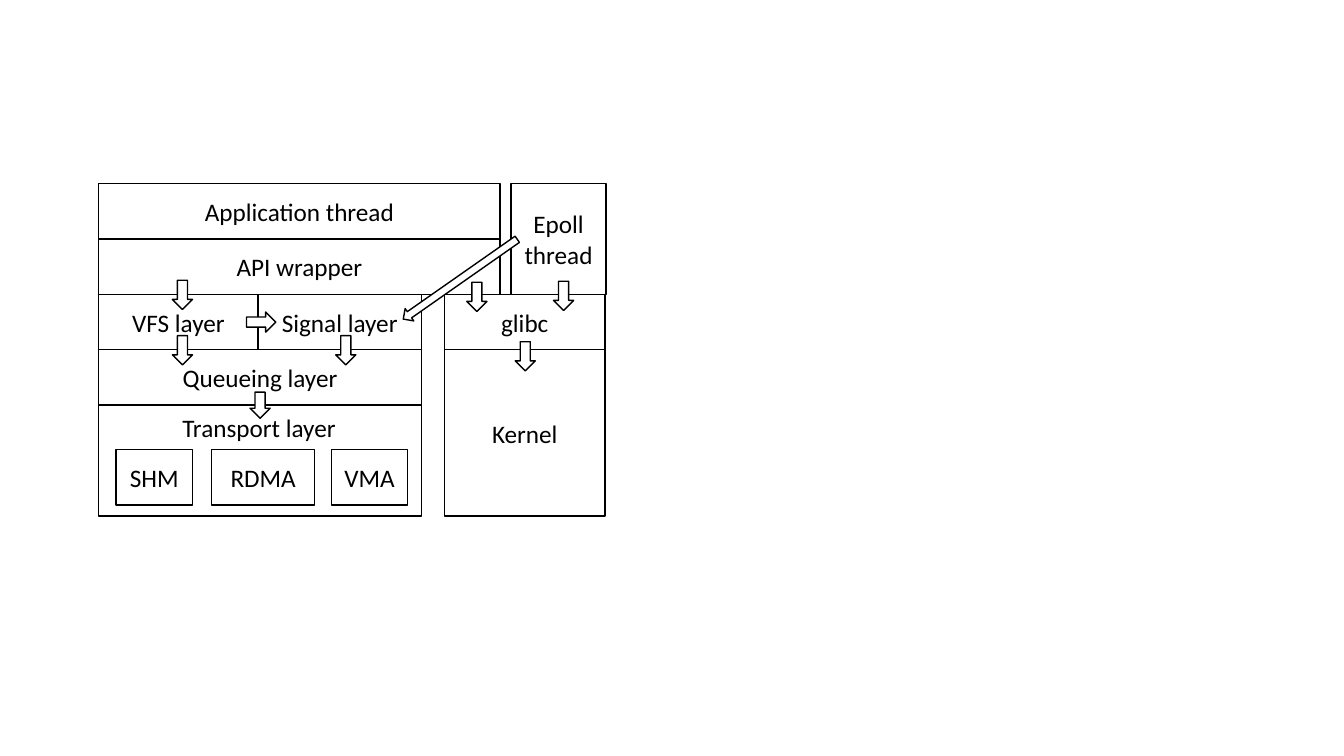
from dataclasses import dataclass

from pptx import Presentation
from pptx.dml.color import RGBColor
from pptx.enum.shapes import MSO_SHAPE
from pptx.enum.text import MSO_ANCHOR, MSO_AUTO_SIZE, PP_ALIGN
from pptx.shapes.autoshape import Shape
from pptx.slide import Slide
from pptx.text.text import TextFrame
from pptx.util import Inches, Pt

RECTANGLE = MSO_SHAPE.RECTANGLE
DOWN_ARROW = MSO_SHAPE.DOWN_ARROW
MIDDLE = MSO_ANCHOR.MIDDLE
CENTER = PP_ALIGN.CENTER
FIT_SHAPE = MSO_AUTO_SIZE.SHAPE_TO_FIT_TEXT

COLORS = {"ink": "000000", "paper": "FFFFFF"}
FONT_NAME = "Calibri"
FONT_SIZE = Pt(18)

# Stack geometry in inches: every layer is a whole number of rows high
STACK_TOP, ROW_HEIGHT = 1.82, 0.55
LEFT_COLUMN, RIGHT_COLUMN = 0.98, 4.41
LEFT_WIDTH, RIGHT_WIDTH = 3.2, 1.59
THREAD_WIDTH = 3.98
VFS_WIDTH = 1.58
TRANSPORT_TOP = 4.46


@dataclass
class Box:
    text: str
    left: float
    top: float
    width: float
    height: float = ROW_HEIGHT


@dataclass
class Arrow:
    left: float
    top: float
    width: float = 0.2
    height: float = 0.29
    rotation: float = 0


def layer(text: str, row: int, left: float, width: float, rows: int = 1) -> Box:
    return Box(text, left, STACK_TOP + row * ROW_HEIGHT, width, rows * ROW_HEIGHT)


LAYERS = [
    layer("Application thread", 0, LEFT_COLUMN, THREAD_WIDTH),
    layer("Epoll thread", 0, 5.07, 0.94, rows=2),
    layer("API wrapper", 1, LEFT_COLUMN, THREAD_WIDTH),
    layer("VFS layer", 2, LEFT_COLUMN, VFS_WIDTH),
    layer("Signal layer", 2, LEFT_COLUMN + VFS_WIDTH, LEFT_WIDTH - VFS_WIDTH),
    layer("glibc", 2, RIGHT_COLUMN, RIGHT_WIDTH),
    layer("Queueing layer", 3, LEFT_COLUMN, LEFT_WIDTH),
    layer("Kernel", 3, RIGHT_COLUMN, RIGHT_WIDTH, rows=3),
    layer("", 4, LEFT_COLUMN, LEFT_WIDTH, rows=2),
]
TRANSPORTS = [
    Box("SHM", 1.15, TRANSPORT_TOP, 0.76),
    Box("RDMA", 2.1, TRANSPORT_TOP, 1.02),
    Box("VMA", 3.29, TRANSPORT_TOP, 0.75),
]
ARROWS = [
    Arrow(1.71, 2.78),  # API wrapper to VFS
    Arrow(1.71, 3.33),  # VFS to queueing
    Arrow(3.33, 3.33),  # signal to queueing
    Arrow(4.63, 2.8),  # API wrapper to glibc
    Arrow(2.48, 3.89, height=0.26),  # queueing to transport
    Arrow(5.11, 3.39),  # glibc to kernel
    Arrow(2.49, 3.05, rotation=270),  # VFS to signal
    Arrow(5.49, 2.79),  # epoll thread to glibc
    Arrow(4.49, 2.08, 0.15, 1.38, rotation=55),  # epoll thread to signal
]


def color(name: str) -> RGBColor:
    return RGBColor.from_string(COLORS[name])


def write_text(text_frame: TextFrame, text: str) -> None:
    text_frame.text = text
    for run in text_frame.paragraphs[0].runs:
        run.font.name = FONT_NAME
        run.font.size = FONT_SIZE
        run.font.color.rgb = color("ink")


def draw_outlined(slide: Slide, kind: MSO_SHAPE, item: Box | Arrow) -> Shape:
    shape = slide.shapes.add_shape(
        kind, Inches(item.left), Inches(item.top), Inches(item.width), Inches(item.height)
    )
    shape.shadow.inherit = False
    shape.fill.solid()
    shape.fill.fore_color.rgb = color("paper")
    shape.line.color.rgb = color("ink")
    shape.line.width = Pt(1)
    return shape


def draw_box(slide: Slide, box: Box) -> None:
    shape = draw_outlined(slide, RECTANGLE, box)
    if not box.text:
        shape.fill.background()
        return
    write_text(shape.text_frame, box.text)
    shape.text_frame.word_wrap = True
    shape.text_frame.vertical_anchor = MIDDLE
    shape.text_frame.paragraphs[0].alignment = CENTER


def draw_arrow(slide: Slide, arrow: Arrow) -> None:
    draw_outlined(slide, DOWN_ARROW, arrow).rotation = arrow.rotation


def draw_label(slide: Slide, label: Box) -> None:
    text_box = slide.shapes.add_textbox(
        Inches(label.left), Inches(label.top), Inches(label.width), Inches(label.height)
    )
    write_text(text_box.text_frame, label.text)
    text_box.text_frame.word_wrap = False
    text_box.text_frame.auto_size = FIT_SHAPE


presentation = Presentation()
presentation.slide_width = Inches(13.33)
presentation.slide_height = Inches(7.5)
slide = presentation.slides.add_slide(presentation.slide_layouts[6])

# Layers and the transports inside the lowest one
for box in LAYERS + TRANSPORTS:
    draw_box(slide, box)
draw_label(slide, Box("Transport layer", 1.71, 4.04, 1.74, 0.4))

# Calls between layers
for arrow in ARROWS:
    draw_arrow(slide, arrow)

presentation.save("out.pptx")
